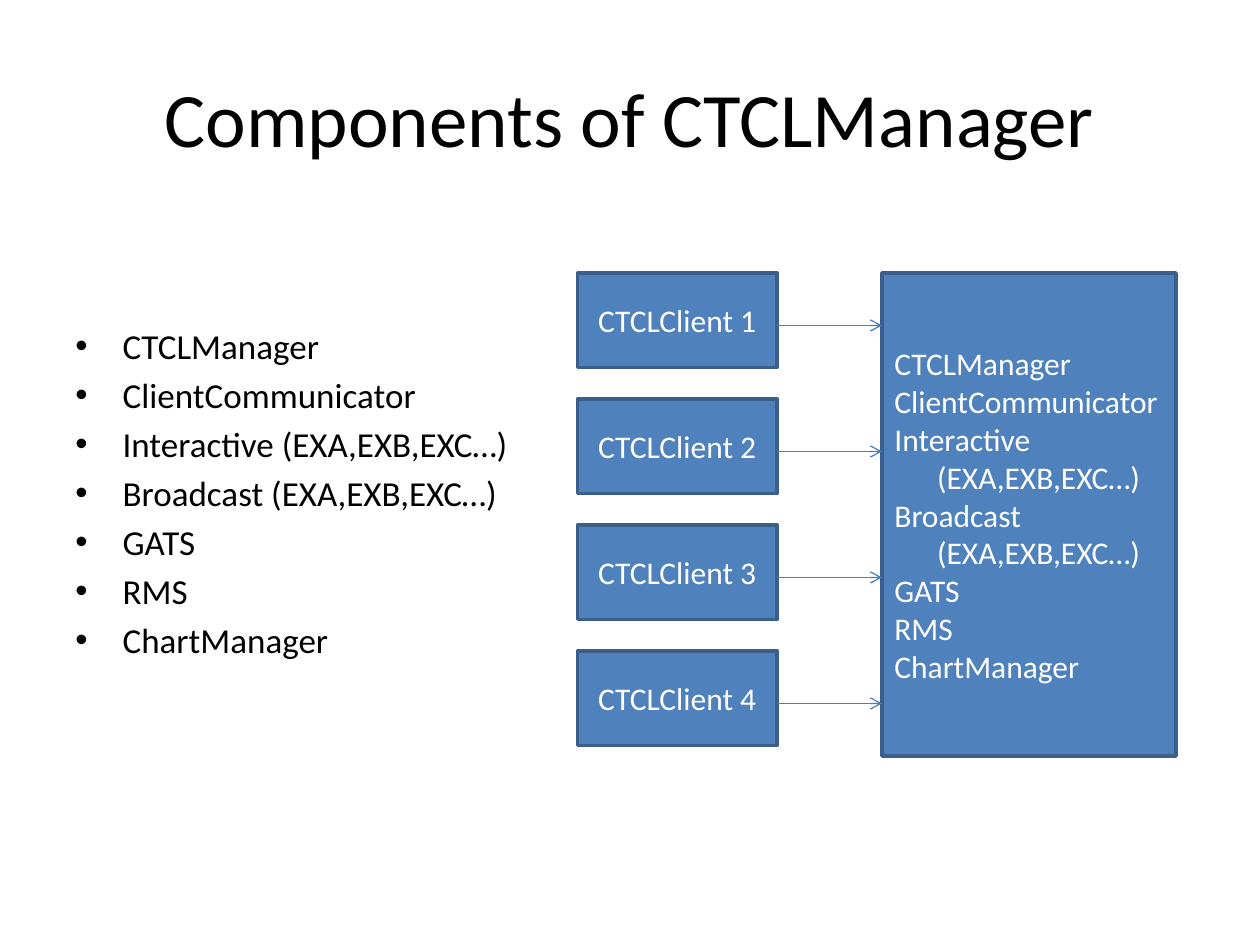
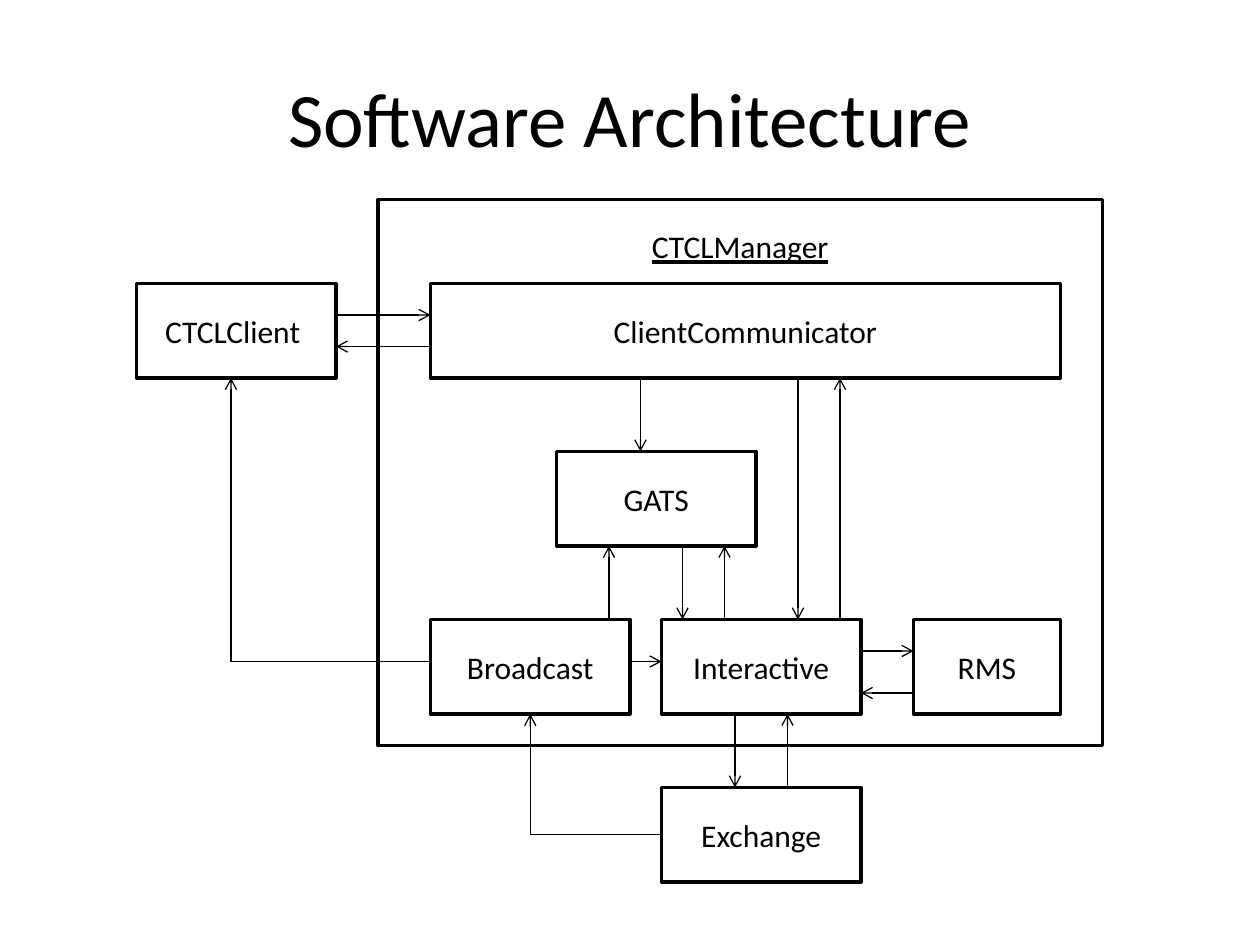
from pptx import Presentation
from pptx.dml.color import RGBColor
from pptx.enum.shapes import MSO_CONNECTOR as CONN, MSO_SHAPE as SHAPE
from pptx.enum.text import MSO_ANCHOR as ANCHOR, PP_ALIGN as ALIGN
from pptx.oxml.xmlchemy import OxmlElement
from pptx.util import Pt

BLACK = RGBColor(0x00, 0x00, 0x00)
WHITE = RGBColor(0xFF, 0xFF, 0xFF)
BLUE = RGBColor(0x4F, 0x81, 0xBD)
BLUE_EDGE = RGBColor(0x3A, 0x5F, 0x8C)
BLUE_ARROW = RGBColor(0x4B, 0x7E, 0xBC)
FONT = "Calibri"
BOX_W, BOX_H = 114, 54


def set_indent(p, left, first=0):
    pPr = p._p.get_or_add_pPr()
    pPr.set("marL", str(Pt(left)))
    pPr.set("indent", str(Pt(first)))
    return pPr


def add_line(tf, index, text, size, color, align=ALIGN.LEFT):
    p = tf.paragraphs[0] if index == 0 else tf.add_paragraph()
    p.alignment = align
    r = p.add_run()
    r.text = text
    r.font.name = FONT
    r.font.size = Pt(size)
    r.font.color.rgb = color
    return p


def add_text_frame(slide, x, y, w, h):
    tf = slide.shapes.add_textbox(Pt(x), Pt(y), Pt(w), Pt(h)).text_frame
    tf.word_wrap = True
    return tf


def add_titled_slide(prs, title):
    slide = prs.slides.add_slide(prs.slide_layouts[6])
    tf = add_text_frame(slide, 36, 21.6, 648, 90)
    tf.vertical_anchor = ANCHOR.MIDDLE
    add_line(tf, 0, title, 44, BLACK, ALIGN.CENTER)
    return slide


def add_bullets(slide, x, y, w, h, items):
    tf = add_text_frame(slide, x, y, w, h)
    for i, item in enumerate(items):
        p = add_line(tf, i, item, 20, BLACK)
        if i:
            p.space_before = Pt(4)
        pPr = set_indent(p, 27, -27)
        for tag, key, value in [("a:buFont", "typeface", "Arial"),
                                ("a:buChar", "char", "•")]:
            bullet = OxmlElement(tag)
            bullet.set(key, value)
            pPr.append(bullet)


def add_box(slide, x, y, lines, w=BOX_W, h=BOX_H, fill=None, edge=BLACK,
            color=BLACK, align=ALIGN.CENTER):
    sp = slide.shapes.add_shape(SHAPE.RECTANGLE, Pt(x), Pt(y), Pt(w), Pt(h))
    sp.shadow.inherit = False
    if fill is None:
        sp.fill.background()
    else:
        sp.fill.solid()
        sp.fill.fore_color.rgb = fill
    sp.line.color.rgb = edge
    sp.line.width = Pt(2)
    tf = sp.text_frame
    tf.vertical_anchor = ANCHOR.MIDDLE
    for i, text in enumerate(lines):
        p = add_line(tf, i, text, 18, color, align)
        if text.startswith("("):
            set_indent(p, 24.4)
    return tf


def add_arrow(slide, x1, y1, x2, y2, color=BLACK, kind=CONN.STRAIGHT):
    line = slide.shapes.add_connector(kind, Pt(x1), Pt(y1), Pt(x2), Pt(y2))
    line.line.color.rgb = color
    line.line.width = Pt(0.75)
    head = OxmlElement("a:tailEnd")
    head.set("type", "arrow")
    line.line._get_or_add_ln().append(head)
    line._element.spPr.append(OxmlElement("a:effectLst"))
    return line


def add_left_up_arrow(slide, x1, y1, x2, y2):
    spPr = add_arrow(slide, x2, y2, x1, y1, kind=CONN.ELBOW)._element.spPr
    spPr.xfrm.set("rot", "10800000")
    spPr.prstGeom.set("prst", "bentConnector2")


def build_components(prs):
    slide = add_titled_slide(prs, "Components of CTCLManager")
    markets = "(EXA,EXB,EXC…)"
    add_bullets(slide, 36, 182, 288, 300, [
        "CTCLManager", "ClientCommunicator", f"Interactive {markets}",
        f"Broadcast {markets}", "GATS", "RMS", "ChartManager"])
    blue = dict(fill=BLUE, edge=BLUE_EDGE, color=WHITE)
    add_box(slide, 504, 156, [
        "CTCLManager", "ClientCommunicator", "Interactive", markets,
        "Broadcast", markets, "GATS", "RMS", "ChartManager"],
        w=168, h=276, align=ALIGN.LEFT, **blue)
    for i in range(4):
        y = 156 + 72 * i
        add_box(slide, 330, y, [f"CTCLClient {i + 1}"], **blue)
        add_arrow(slide, 330 + BOX_W, y + 30, 504, y + 30, BLUE_ARROW)


def build_architecture(prs):
    slide = add_titled_slide(prs, "Software Architecture")
    manager = add_box(slide, 216, 114, ["CTCLManager"], w=414, h=312)
    manager.vertical_anchor = ANCHOR.TOP
    manager.margin_top = Pt(15.8)
    manager.paragraphs[0].runs[0].font.underline = True

    client_y, gats_y, market_y, exchange_y = 162, 258, 354, 450
    client_end, gats_end, market_end = (
        y + BOX_H for y in (client_y, gats_y, market_y))
    for name, x, y, w in [
            ("CTCLClient ", 78, client_y, BOX_W),
            ("ClientCommunicator", 246, client_y, 360),
            ("GATS", 318, gats_y, BOX_W),
            ("Broadcast", 246, market_y, BOX_W),
            ("Interactive", 378, market_y, BOX_W),
            ("RMS", 522, market_y, 84),
            ("Exchange", 378, exchange_y, BOX_W)]:
        add_box(slide, x, y, [name], w=w)

    for x, start, end in [
            (366, client_end, gats_y),
            (456, client_end, market_y),
            (480, market_y, client_end),
            (348, market_y, gats_end),
            (390, gats_end, market_y),
            (414, market_y, gats_end),
            (420, market_end, exchange_y),
            (450, exchange_y, market_end)]:
        add_arrow(slide, x, start, x, end)
    for y, start, end in [
            (180, 192, 246), (198, 246, 192), (378, 360, 378),
            (372, 492, 522), (396, 522, 492)]:
        add_arrow(slide, start, y, end, y)
    add_left_up_arrow(slide, 378, exchange_y + BOX_H / 2, 303, market_end)
    add_left_up_arrow(slide, 246, 378, 132, client_end)


def main():
    prs = Presentation()
    prs.slide_width, prs.slide_height = Pt(720), Pt(540)
    build_components(prs)
    build_architecture(prs)
    prs.save("out.pptx")


if __name__ == "__main__":
    main()
